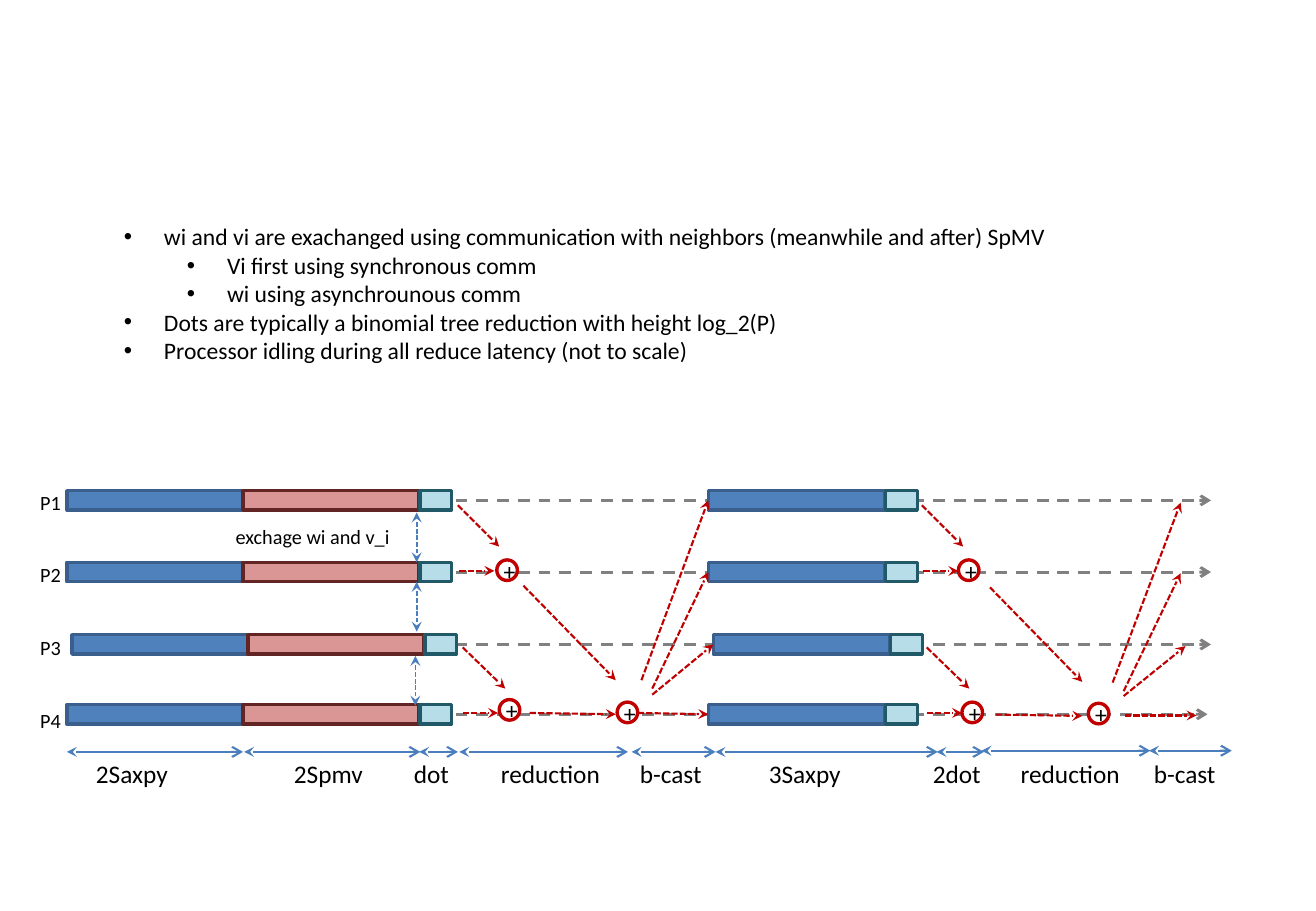
import pptx
import pptx.util
import pptx.dml.color
import pptx.enum.dml
import pptx.enum.shapes
import pptx.enum.text
import pptx.oxml
import pptx.oxml.ns

Pt = pptx.util.Pt
DASH = pptx.enum.dml.MSO_LINE
SHAPE = pptx.enum.shapes.MSO_SHAPE

# Content: level and text of each note
NOTES = [
    (0, "wi and vi are exachanged using communication with neighbors (meanwhile and after) SpMV"),
    (1, "Vi first using synchronous comm"),
    (1, "wi using asynchrounous comm"),
    (0, "Dots are typically a binomial tree reduction with height log_2(P)"),
    (0, "Processor idling during all reduce latency (not to scale)"),
]
# Processor: name, lane centre, shift of its bars, lane end
PROCESSORS = [
    ("P1", 296.6, 0, 717.8),
    ("P2", 339.1, 0, 717.8),
    ("P3", 382, 3, 717.8),
    ("P4", 423.4, 0, 715.7),
]
# Tasks on every lane: left, width, fill, line
BLUE, RED, TEAL = ("4F81BD", "3A5F8C"), ("D99694", "632523"), ("B7DEE8", "215968")
TASKS = [
    (39.6, 104.4, *BLUE),
    (144, 104.4, *RED),
    (249, 18.7, *TEAL),
    (419.8, 104.4, *BLUE),
    (525, 18.7, *TEAL),
]
# Phases: name, text left, span start, span end, span height
PHASES = [
    ("2Saxpy", 56.9, 39.6, 144, 445.7),
    ("2Spmv", 174.2, 144.7, 249.1, 445.7),
    ("dot", 245.3, 248.4, 271.4, 445.7),
    ("reduction", 296.9, 272.2, 372.2, 445.7),
    ("b-cast", 379.3, 374.4, 424.1, 445.7),
    ("3Saxpy", 455.7, 424.1, 555.8, 445.7),
    ("2dot", 552.9, 555.1, 583.2, 445.7),
    ("reduction", 605, 581.8, 681.8, 445),
    ("b-cast", 683.9, 681.1, 730.1, 445),
]
EXCHANGES = [(247, 303.8), (247, 344.9), (246.2, 388.8)]
# Reduction steps: shift to the second reduction, arrows of the first one
REDUCTIONS = [
    (275, 0, [(271.4, 299.5, 295.9, 324), (272.2, 338.4, 293, 338.4),
              (274.3, 383.8, 299.5, 408.2), (274.3, 422.6, 295.2, 422.6)]),
    (276.5, 1, [(310.3, 347.2, 365, 403.2), (313.9, 422.6, 365, 423.4)]),
]
# Broadcast to each lane: first start, second start, second end
BROADCASTS = [
    ((380.2, 403.2), (659.5, 404.6), (699.8, 298)),
    ((386.6, 408.2), (666, 409.7), (699.8, 339.8)),
    ((386.6, 411.8), (666, 412.6), (702.7, 383)),
    ((378, 422.6), (666.7, 424.1), (709.2, 424.1)),
]
SUMS = [(294.5, 331.9), (295.9, 414.7), (365.8, 416.2),
        (568.1, 331.9), (570.2, 416.2), (645.1, 416.9)]
BAR_HEIGHT, SUM_SIZE = 11.5, 12.2

prs = pptx.Presentation()
prs.slide_width, prs.slide_height = Pt(780), Pt(540)
slide = prs.slides.add_slide(prs.slide_layouts[1])
title, notes = slide.placeholders
title._element.getparent().remove(title._element)


def color(value):
    return pptx.dml.color.RGBColor.from_string(value)


def style(paragraph, size):
    for run in paragraph.runs:
        run.font.name, run.font.size = "Calibri", Pt(size)
        run.font.color.rgb = color("000000")


def label(text, left, top, width, size, parent=slide):
    box = parent.shapes.add_textbox(Pt(left), Pt(top), Pt(width), Pt(size * 1.22))
    frame = box.text_frame
    frame.margin_left = frame.margin_right = frame.margin_top = frame.margin_bottom = 0
    frame.word_wrap = True
    frame.text = text
    style(frame.paragraphs[0], size)


def block(kind, left, top, width, height, fill, line, parent=slide):
    shape = parent.shapes.add_shape(kind, Pt(left), Pt(top), Pt(width), Pt(height))
    shape.shadow.inherit = False
    shape.fill.solid()
    shape.fill.fore_color.rgb = color(fill)
    shape.line.color.rgb = color(line)
    shape.line.width = Pt(2)
    return shape


def arrow(x1, y1, x2, y2, hue, width, dash=None, head=None, tail="stealth"):
    line = slide.shapes.add_connector(
        pptx.enum.shapes.MSO_CONNECTOR.STRAIGHT, Pt(x1), Pt(y1), Pt(x2), Pt(y2))
    line.line.color.rgb = color(hue)
    line.line.width = Pt(width)
    if dash:
        line.line.dash_style = dash
    ln = line.line._get_or_add_ln()
    for tag, end in (("a:headEnd", head), ("a:tailEnd", tail)):
        if end:
            mark = pptx.oxml.ns.qn(tag)
            ln.append(ln.makeelement(mark, {"type": end}))
    properties = line._element.spPr
    properties.append(properties.makeelement(pptx.oxml.ns.qn("a:effectLst"), {}))
    return line


def message(x1, y1, x2, y2):
    return arrow(x1, y1, x2, y2, "C00000", 1.25, DASH.SQUARE_DOT)


# Notes
notes.left, notes.top, notes.width, notes.height = Pt(66.2), Pt(128.2), Pt(626.4), Pt(92.2)
notes.text_frame.auto_size = pptx.enum.text.MSO_AUTO_SIZE.NONE
notes.text_frame.text = "\n".join(text for _, text in NOTES)
for paragraph, (level, _) in zip(notes.text_frame.paragraphs, NOTES):
    paragraph.level = level
    paragraph.space_before = Pt(0)
    style(paragraph, 14)
    pPr = paragraph._p.get_or_add_pPr()
    pPr.set("marL", str(Pt(61.2 if level else 23.8)))
    pPr.set("indent", str(-Pt(23.8)))
    for tag, attributes in (("a:buFont", {"typeface": "Arial"}), ("a:buChar", {"char": "•"})):
        pPr.append(pPr.makeelement(pptx.oxml.ns.qn(tag), attributes))

# Processor lanes with their tasks
second_saxpy = []
for index, (name, center, shift, end) in enumerate(PROCESSORS):
    label(name, 23.8, 290.4 + 43.2 * index, 15, 12)
    arrow(122.4, center, end, center, "808080", 1.75, DASH.DASH, tail="arrow")
    bars = [block(SHAPE.RECTANGLE, left + shift, center - BAR_HEIGHT / 2,
                  width, BAR_HEIGHT, fill, line)
            for left, width, fill, line in TASKS]
    second_saxpy.append(bars[3])

# Neighbor exchange
label("exchage wi and v_i", 139.7, 311, 105, 12)
for x, top in EXCHANGES:
    arrow(x, top, x, top + 29.5, "4B7EBC", 1, DASH.SQUARE_DOT, head="stealth")

# Reductions and broadcasts
for dx, dy, steps in REDUCTIONS:
    for x1, y1, x2, y2 in steps:
        message(x1, y1, x2, y2)
        message(x1 + dx, y1 + dy, x2 + dx, y2 + dy)
for saxpy, (first, second, second_end) in zip(second_saxpy, BROADCASTS):
    message(*first, *first).end_connect(saxpy, 1)
    message(*second, *second_end)

# Sums
for left, top in SUMS:
    group = slide.shapes.add_group_shape()
    block(SHAPE.OVAL, left, top, SUM_SIZE, SUM_SIZE, "FFFFFF", "C00000", group)
    label("+", left + 4, top - 2, 12, 14, group)

# Phases
for name, text_left, start, end, y in PHASES:
    arrow(start, y, end, y, "4B7EBC", 1.25, head="stealth", tail="arrow")
    label(name, text_left, 449.3, 75, 15)

prs.save("out.pptx")
